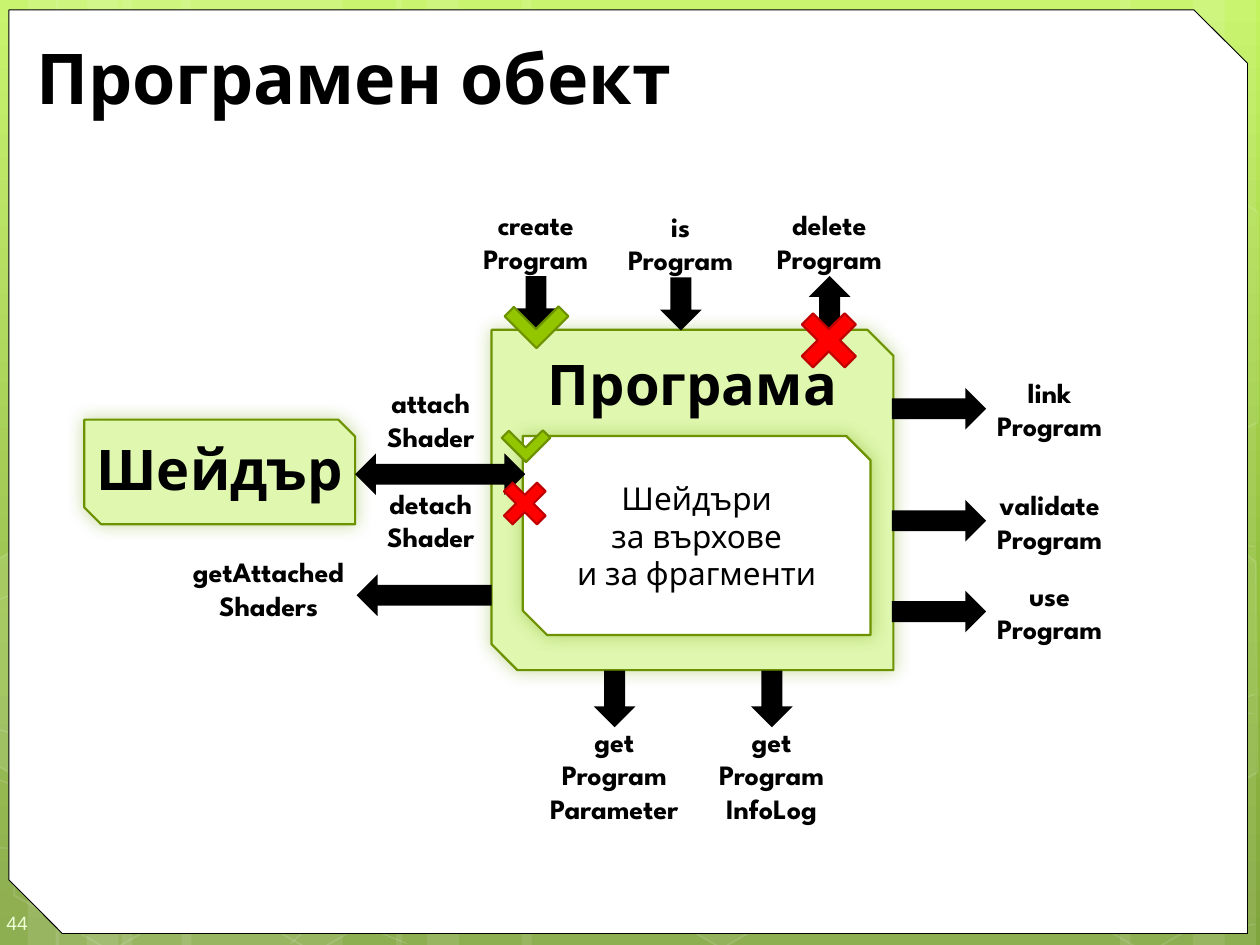
from copy import deepcopy
from dataclasses import dataclass

from lxml.etree import SubElement
from pptx import Presentation
from pptx.dml.color import RGBColor
from pptx.enum.shapes import MSO_SHAPE as SHAPE
from pptx.enum.text import MSO_ANCHOR as ANCHOR, PP_ALIGN as ALIGN
from pptx.oxml.ns import qn
from pptx.util import Cm, Pt


@dataclass(frozen=True)
class Theme:
    font: str = "League Spartan"
    number_font: str = "Arial"
    background: tuple = ((0, "C3F35F"), (0.62, "93BF3F"), (1, "81A53E"))
    white: str = "FFFFFF"
    black: str = "000000"
    box: str = "DFF7AE"
    outline: str = "6D9200"
    glow: str = "74A510"
    check: str = "94C600"
    cross: str = "FF0000"
    cross_line: str = "C00000"
    number: str = "EEFFD6"
    title_size: int = 40
    heading_size: int = 32
    body_size: int = 18
    label_size: int = 16
    number_size: int = 11


T = Theme()
WIDTH, HEIGHT = 25.4, 19.05

STRIPES = [(2.46, 4.45), (-0.08, 1.27), (0.56, 2.11), (3.66, 4.45),
           (1.12, 1.27), (1.75, 2.11), (18.34, 4.45), (24.05, 1.27),
           (22.58, 2.11), (10.52, 7.82), (7.98, 1.27), (8.61, 2.11)]
STRANDS = [
    [(-0.1, 17.09), (4.55, 17.22), (11.35, 16.89), (19.81, 15.67), (25.3, 14)],
    [(-0.1, 12.12), (2.79, 10.95), (8.53, 9.83), (16.33, 9.83), (25.3, 11.02)],
    [(-0.13, 15.67), (8.2, 19.02)],
    [(-0.1, 14.68), (2.97, 15.65), (8.76, 17.09), (15.67, 18.24),
     (21.36, 18.69), (23.72, 18.75), (25.3, 18.64)],
    [(5.87, 19.02), (7.39, 17.55), (11.63, 15.47), (16.99, 14.45),
     (22.23, 14.27), (25.27, 14.38)],
]
# Left, top and fill opacity in percent
HEXAGONS = [(0, 15.01, 0), (4.11, 15.04, 0), (12.32, 14.96, 6), (20.9, 15.06, 0)]
CUT_HEXAGONS = [
    ([(-0.08, 11.3), (0.2, 11.13), (2.16, 12.24), (2.13, 14.48),
      (0.23, 15.6), (-0.08, 15.42)], 10),
    ([(23.24, 12.32), (25.15, 11.2), (25.32, 11.33), (25.35, 15.57),
      (25.17, 15.67), (23.22, 14.55)], 4),
    ([(23.24, 5.26), (25.15, 4.14), (25.35, 4.27), (25.35, 8.51),
      (25.17, 8.61), (23.22, 7.49)], 0),
]


def set_color(fill, color, opacity=100):
    fill.solid()
    fill.fore_color.rgb = RGBColor.from_string(color)
    if opacity < 100:
        clr = fill._xPr.find(qn("a:solidFill"))[0]
        SubElement(clr, qn("a:alpha"), val=str(opacity * 1000))


def paint(sp, fill=None, line=None, width=1.25, opacity=100, line_opacity=100):
    sp.shadow.inherit = False
    if fill and opacity:
        set_color(sp.fill, fill, opacity)
    else:
        sp.fill.background()
    if line:
        set_color(sp.line.fill, line, line_opacity)
        sp.line.width = Pt(width)
    else:
        sp.line.fill.background()


def add_shape(slide, kind, x, y, w, h, rotation=0, adjust=(), **style):
    sp = slide.shapes.add_shape(kind, Cm(x), Cm(y), Cm(w), Cm(h))
    sp.rotation = rotation
    for i, value in enumerate(adjust):
        sp.adjustments[i] = value
    paint(sp, **style)
    return sp


def add_outline(slide, points, closed, **style):
    points = [(Cm(x), Cm(y)) for x, y in points]
    builder = slide.shapes.build_freeform(*points[0])
    builder.add_line_segments(points[1:], close=closed)
    paint(builder.convert_to_shape(), line=T.white, **style)


def write(sp, text, size, bold=True, color=T.black, font=T.font,
          align=ALIGN.CENTER, anchor=ANCHOR.MIDDLE, wrap=True,
          margins=(0, 0.13, 0, 0.13)):
    tf = sp.text_frame
    tf.text = text
    tf.word_wrap = wrap
    tf.vertical_anchor = anchor
    tf.margin_left, tf.margin_top, tf.margin_right, tf.margin_bottom = map(Cm, margins)
    for p in tf.paragraphs:
        p.alignment = align
        for r in p.runs:
            r.font.size, r.font.bold, r.font.name = Pt(size), bold, font
            r.font.color.rgb = RGBColor.from_string(color)
    return tf


def add_text(slide, text, x, y, w, h, size=T.label_size, **style):
    sp = slide.shapes.add_textbox(Cm(x), Cm(y), Cm(w), Cm(h))
    return write(sp, text, size, **style)


def add_arrow(slide, x, y, w, rotation=0, kind=SHAPE.RIGHT_ARROW):
    add_shape(slide, kind, x, y, w, 0.84, rotation, fill=T.black)


def add_glowing_box(slide, x, y, w, h, snip, fill):
    sp = add_shape(slide, SHAPE.SNIP_2_DIAG_RECTANGLE, x, y, w, h,
                   adjust=(0, snip), fill=fill, line=T.outline)
    effects = sp._element.spPr.find(qn("a:effectLst"))
    glow = SubElement(effects, qn("a:outerShdw"), blurRad=str(Pt(10)), dist="0",
                      dir="2700000", algn="ctr", rotWithShape="0")
    clr = SubElement(glow, qn("a:srgbClr"), val=T.glow)
    SubElement(clr, qn("a:alpha"), val="40000")
    return sp


def add_check(slide, x, y, size):
    add_shape(slide, SHAPE.CORNER, x, y, size, size, 315, (0.307, 0.291),
              fill=T.check, line=T.outline)


def add_cross(slide, x, y, size):
    add_shape(slide, SHAPE.CROSS, x, y, size, size, 315, (0.37,),
              fill=T.cross, line=T.cross_line)


def add_background(slide):
    fill = slide.background.fill
    fill.gradient()
    fill.gradient_angle = 270
    stop_list = slide._element.xpath(".//a:gsLst")[0]
    stop_list.append(deepcopy(stop_list[-1]))
    for stop, (position, color) in zip(fill.gradient_stops, T.background):
        stop.position = position
        stop.color.rgb = RGBColor.from_string(color)
    for x, w in STRIPES:
        add_shape(slide, SHAPE.RECTANGLE, x, 0, w, HEIGHT, fill=T.white, opacity=10)
    for points in STRANDS:
        add_outline(slide, points, False, width=0.5, line_opacity=20)
    for x, y, opacity in HEXAGONS:
        add_shape(slide, SHAPE.HEXAGON, x, y, 4.45, 3.86, 30, (0.285,), fill=T.white,
                  opacity=opacity, line=T.white, width=1, line_opacity=12)
    for points, opacity in CUT_HEXAGONS:
        add_outline(slide, points, True, fill=T.white, opacity=opacity,
                    width=1, line_opacity=12)
    add_shape(slide, SHAPE.SNIP_2_DIAG_RECTANGLE, 0.18, 0.2, 24.97, 18.62,
              adjust=(0, 0.058), fill=T.white, line=T.black, width=0.5)


def add_boxes(slide):
    program = add_glowing_box(slide, 9.91, 6.65, 8.1, 6.86, 0.076, T.box)
    shader = add_glowing_box(slide, 1.7, 8.46, 5.46, 2.11, 0.162, T.box)
    for sp, text in ((program, "Програма"), (shader, "Шейдър")):
        write(sp, text, T.heading_size, anchor=ANCHOR.TOP, wrap=False)
    attached = add_glowing_box(slide, 10.54, 8.79, 7.01, 4.01, 0.122, T.white)
    write(attached, "Шейдъри\vза върхове\vи за фрагменти", T.body_size, bold=False)


def add_program_calls(slide):
    for text, x, y, rotation in (("create\vProgram", 9.53, 4.14, 90),
                                 ("is\vProgram", 12.45, 4.17, 90),
                                 ("delete\nProgram", 15.45, 4.14, 270)):
        add_text(slide, text, x, y, 2.54, 1.45)
        add_arrow(slide, x + 0.74, y + 1.54, 1.07, rotation)
    for name, y in (("link", 7.52), ("validate", 9.78), ("use", 11.61)):
        add_text(slide, f"{name}\nProgram", 19.89, y, 2.54, 1.45)
        add_arrow(slide, 17.98, y + 0.3, 1.9)
    for name, x in (("Parameter", 10.9), ("InfoLog", 14.07)):
        add_text(slide, f"get\nProgram\n{name}", x, 14.55, 2.97, 2.13)
        add_arrow(slide, x + 0.92, 13.67, 1.14, 90)
    add_check(slide, 10.36, 5.92, 0.91)
    add_cross(slide, 16.1, 6.25, 1.22)


def add_shader_calls(slide):
    tf = add_text(slide, "attach\nShader\ndetach\nShader", 6.88, 7.7, 3.61, 3.53)
    tf.paragraphs[2].space_before = Pt(19)
    add_text(slide, "getAttached\nShaders", 3.61, 11.13, 3.61, 1.45)
    add_arrow(slide, 7.19, 11.58, 2.72, 180)
    add_check(slide, 10.26, 8.48, 0.69)
    add_arrow(slide, 7.16, 9.14, 3.43, kind=SHAPE.LEFT_RIGHT_ARROW)
    add_cross(slide, 10.11, 9.68, 0.94)


def main():
    prs = Presentation()
    prs.slide_width, prs.slide_height = Cm(WIDTH), Cm(HEIGHT)
    slide = prs.slides.add_slide(prs.slide_layouts[6])
    add_background(slide)
    add_text(slide, "44", 0, 18.03, 1.47, 1.02, T.number_size, bold=False,
             color=T.number, font=T.number_font, align=ALIGN.LEFT,
             margins=(0.13, 0.38, 0, 0.25))
    add_text(slide, "Програмен обект", 0.48, 0.64, 24.05, 1.8, T.title_size,
             align=ALIGN.LEFT, margins=(0.25, 0.13, 0.25, 0.13))
    add_boxes(slide)
    add_program_calls(slide)
    add_shader_calls(slide)
    prs.save("out.pptx")


if __name__ == "__main__":
    main()
